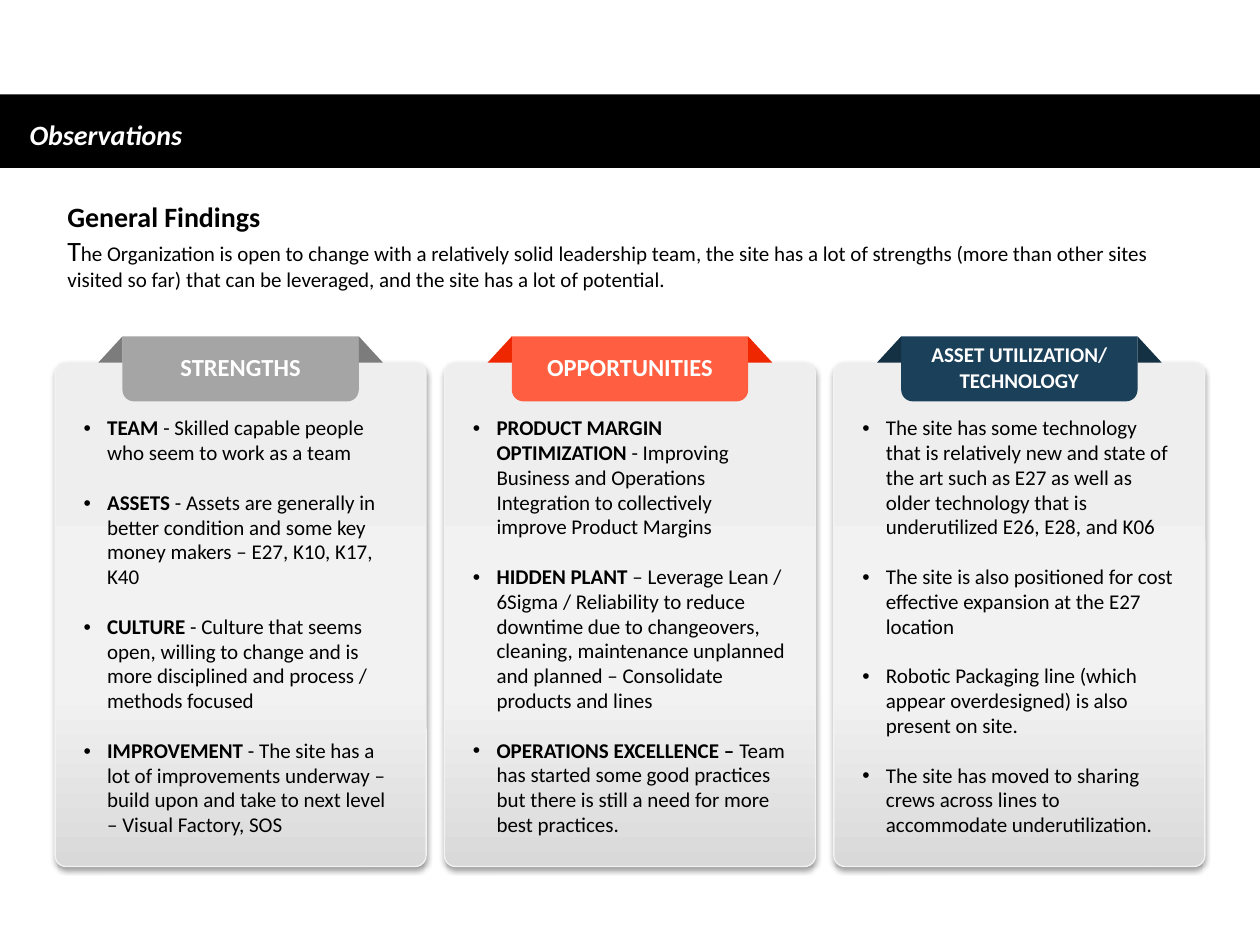
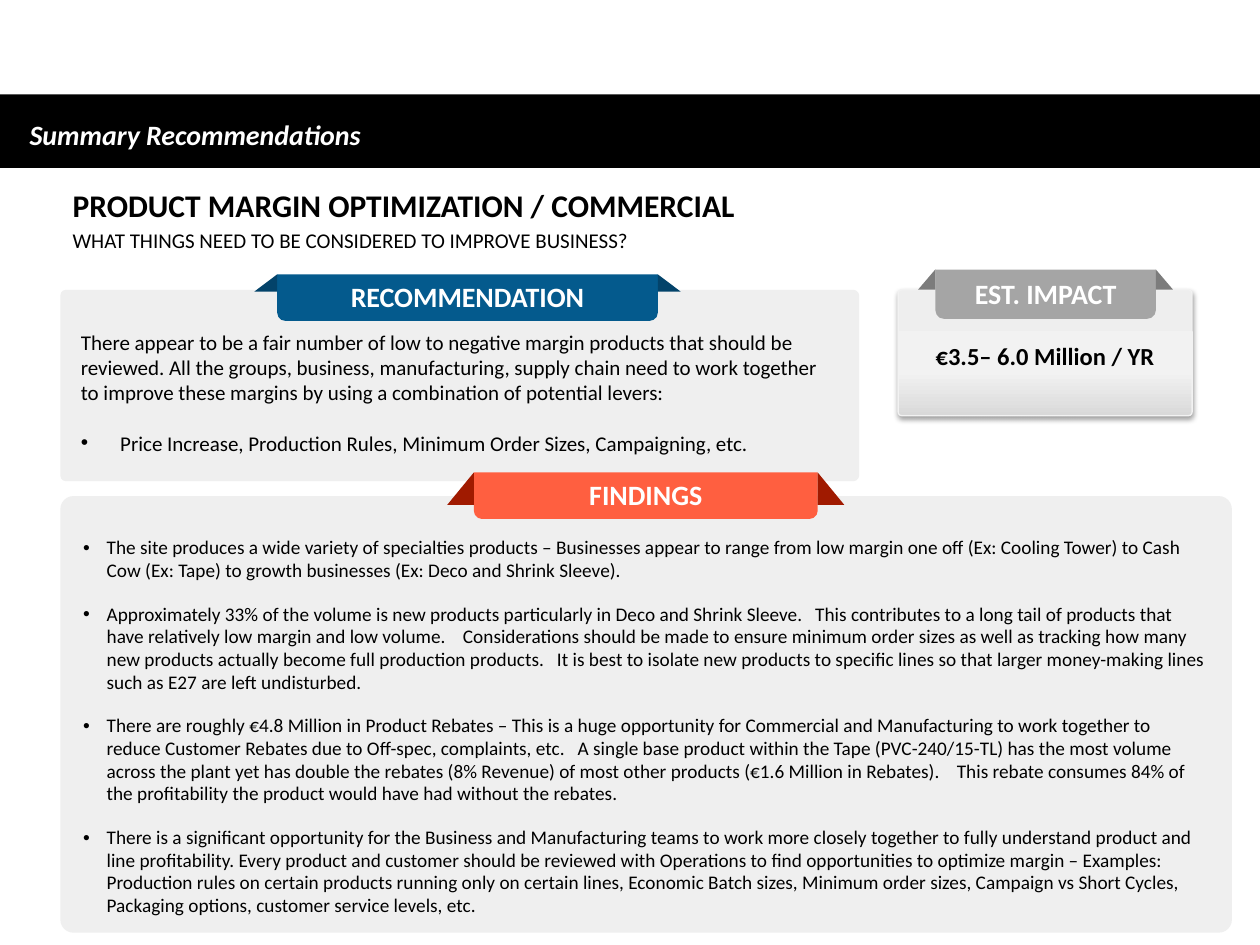
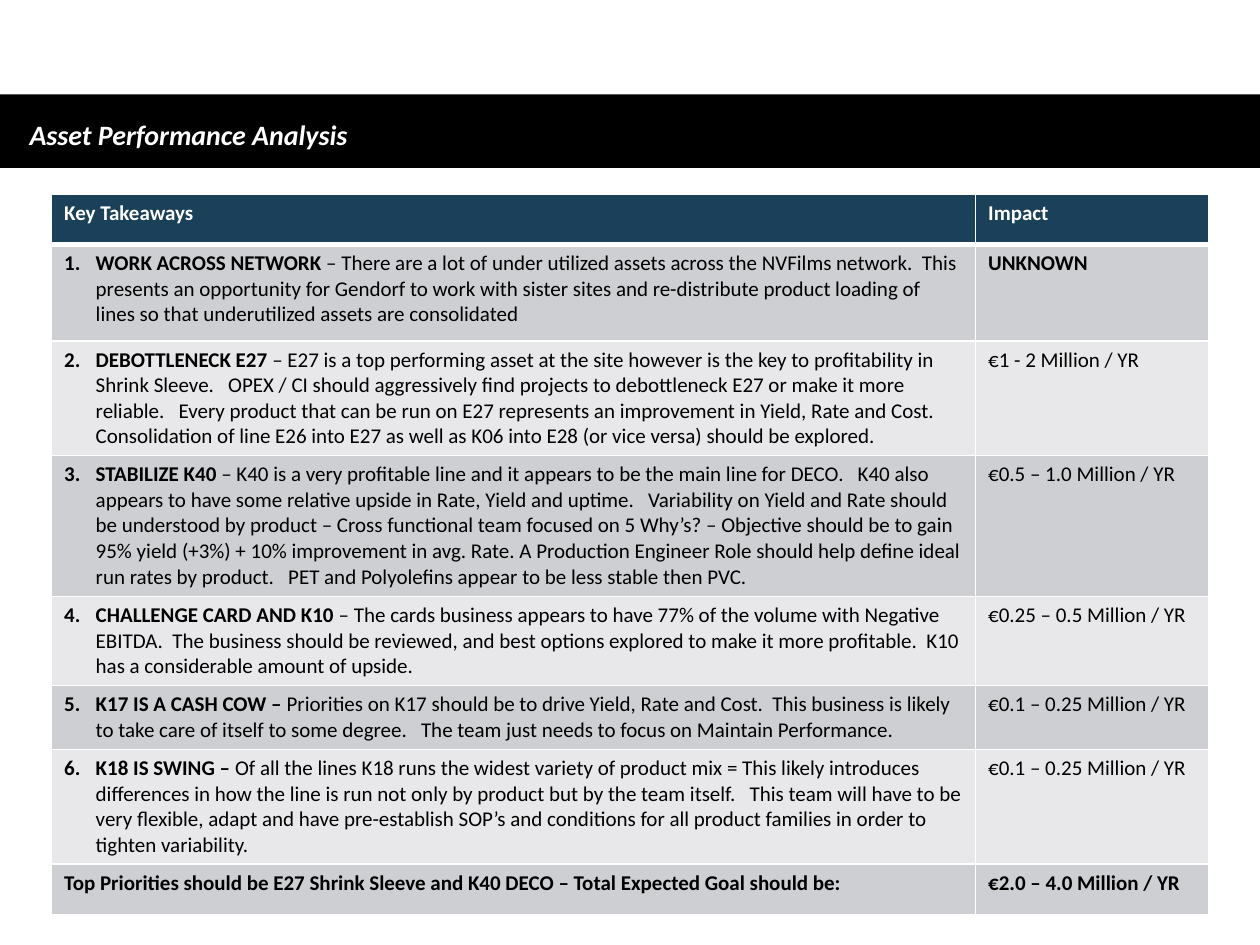
import pptx
import pptx.dml.color
import pptx.enum.shapes
import pptx.enum.text
import pptx.oxml
import pptx.oxml.ns
import pptx.util

Pt = pptx.util.Pt
SHAPE = pptx.enum.shapes.MSO_SHAPE
ALIGN = pptx.enum.text.PP_ALIGN
ANCHOR = pptx.enum.text.MSO_ANCHOR
NS = pptx.oxml.ns.nsdecls("a")

FONT = "Calibri"
COLORS = {
    "black": "000000", "white": "FFFFFF",
    "gray": "A5A5A5", "gray_ear": "7C7C7C",
    "orange": "FF5F40", "orange_ear": "EF2700", "rust_ear": "A01A00",
    "navy": "1B405A", "navy_ear": "143043",
    "blue": "045A8D", "blue_ear": "03436A",
    "panel": "EFEFEF", "panel_line": "F2F2F2",
    "row_dark": "CDCFD2", "row_light": "E8E8EA",
}
PANEL_STOPS = [(0, "D9D9D9"), (35, "F2F2F2"), (100, "EEEEEE")]
RAISED_INSETS = (14.4, 28.8, 14.4, 3.6)
FLAT_INSETS = (10.8, 21.6, 10.8, 7.2)
BULLET_HANG = 13.5

# Slide 1: three columns of (heading, heading size, colour, bullets)
STRENGTHS = [
    ("TEAM", " - Skilled capable people who seem to work as a team"),
    ("ASSETS", " - Assets are generally in better condition and some key money makers – E27, K10, K17, K40"),
    ("CULTURE", " - Culture that seems open, willing to change and is more disciplined and process / "
     "methods focused"),
    ("IMPROVEMENT", " - The site has a lot of improvements underway – build upon and take to next level "
     "– Visual Factory, SOS"),
]
OPPORTUNITIES = [
    ("PRODUCT MARGIN OPTIMIZATION ", "- Improving Business and Operations Integration to collectively "
     "improve Product Margins"),
    ("HIDDEN PLANT ", "– Leverage Lean / 6Sigma / Reliability to reduce downtime due to changeovers, "
     "cleaning, maintenance unplanned and planned – Consolidate products and lines"),
    ("OPERATIONS EXCELLENCE –", " Team has started some good practices but there is still a need for "
     "more best practices."),
]
TECHNOLOGY = [
    ("", "The site has some technology that is relatively new and state of the art such as E27 as well "
     "as older technology that is underutilized E26, E28, and K06"),
    ("", "The site is also positioned for cost effective expansion at the E27 location"),
    ("", "Robotic Packaging line (which appear overdesigned) is also present on site."),
    ("", "The site has moved to sharing crews across lines to accommodate underutilization."),
]
COLUMNS = [
    ("STRENGTHS", 14, "gray", STRENGTHS),
    ("OPPORTUNITIES", 14, "orange", OPPORTUNITIES),
    ("ASSET UTILIZATION/ TECHNOLOGY", 12, "navy", TECHNOLOGY),
]

# Slide 2: findings
FINDINGS = [
    "The site produces a wide variety of specialties products – Businesses appear to range from low margin "
    "one off (Ex: Cooling Tower) to Cash Cow (Ex: Tape) to growth businesses (Ex: Deco and Shrink Sleeve).",
    "Approximately 33% of the volume is new products particularly in Deco and Shrink Sleeve.   This "
    "contributes to a long tail of products that have relatively low margin and low volume.    "
    "Considerations should be made to ensure minimum order sizes as well as tracking how many new products "
    "actually become full production products.   It is best to isolate new products to specific lines so "
    "that larger money-making lines such as E27 are left undisturbed.",
    "There are roughly €4.8 Million in Product Rebates – This is a huge opportunity for Commercial and "
    "Manufacturing to work together to reduce Customer Rebates due to Off-spec, complaints, etc.   A single "
    "base product within the Tape (PVC-240/15-TL) has the most volume across the plant yet has double the "
    "rebates (8% Revenue) of most other products (€1.6 Million in Rebates).    This rebate consumes 84% of "
    "the profitability the product would have had without the rebates.",
    "There is a significant opportunity for the Business and Manufacturing teams to work more closely "
    "together to fully understand product and line profitability. Every product and customer should be "
    "reviewed with Operations to find opportunities to optimize margin – Examples: Production rules on "
    "certain products running only on certain lines, Economic Batch sizes, Minimum order sizes, Campaign vs "
    "Short Cycles, Packaging options, customer service levels, etc.",
]

# Slide 3: (bold lead, text, impact)
TAKEAWAYS = [
    ("WORK ACROSS NETWORK", " – There are a lot of under utilized assets across the NVFilms network.  This "
     "presents an opportunity for Gendorf to work with sister sites and re-distribute product loading of "
     "lines so that underutilized assets are consolidated", "UNKNOWN"),
    ("DEBOTTLENECK E27 ", "– E27 is a top performing asset at the site however is the key to profitability "
     "in Shrink Sleeve.   OPEX / CI should aggressively find projects to debottleneck E27 or make it more "
     "reliable.   Every product that can be run on E27 represents an improvement in Yield, Rate and Cost.  "
     "Consolidation of line E26 into E27 as well as K06 into E28 (or vice versa) should be explored.",
     "€1 - 2 Million / YR"),
    ("STABILIZE K40", " – K40 is a very profitable line and it appears to be the main line for DECO.   K40 "
     "also  appears to have some relative upside in Rate, Yield and uptime.   Variability on Yield and Rate "
     "should be understood by product – Cross functional team focused on 5 Why’s? – Objective should be to "
     "gain 95% yield (+3%) + 10% improvement in avg. Rate. A Production Engineer Role should help define "
     "ideal run rates by product.   PET and Polyolefins appear to be less stable then PVC.",
     "€0.5 – 1.0 Million / YR"),
    ("CHALLENGE CARD AND K10", " – The cards business appears to have 77% of the volume with Negative "
     "EBITDA.  The business should be reviewed, and best options explored to make it more profitable.  K10 "
     "has a considerable amount of upside.", "€0.25 – 0.5 Million / YR"),
    ("K17 IS A CASH COW – ", "Priorities on K17 should be to drive Yield, Rate and Cost.  This business is "
     "likely to take care of itself to some degree.   The team just needs to focus on Maintain "
     "Performance.", "€0.1 – 0.25 Million / YR"),
    ("K18 IS SWING – ", "Of all the lines K18 runs the widest variety of product mix = This likely "
     "introduces differences in how the line is run not only by product but by the team itself.   This team "
     "will have to be very flexible, adapt and have pre-establish SOP’s and conditions for all product "
     "families in order to tighten variability.", "€0.1 – 0.25 Million / YR"),
]
ROW_HEIGHTS = [28.8, 55.2, 65.5, 80.5, 51, 36.5, 65.5, 28.8]


def rgb(name):
    return pptx.dml.color.RGBColor.from_string(COLORS[name])


def para(*runs, hang=0, mark=None, **fmt):
    """A paragraph: (text, font overrides) runs; mark is a bullet or a list number."""
    return {"runs": runs, "hang": hang, "mark": mark, "fmt": fmt}


def lead(bold, text, **options):
    runs = [(bold, {"bold": True}), (text, {})]
    return para(*[run for run in runs if run[0]], **options)


def add_mark(p, hang, mark):
    pPr = p._p.get_or_add_pPr()
    pPr.set("marL", str(Pt(hang)))
    pPr.set("indent", str(-Pt(hang)))
    if isinstance(mark, int):
        tags = [f'<a:buFont {NS} typeface="+mj-lt"/>',
                f'<a:buAutoNum {NS} type="arabicPeriod" startAt="{mark}"/>']
    else:
        tags = [f'<a:buFont {NS} typeface="Arial"/>', f'<a:buChar {NS} char="{mark}"/>']
    for tag in tags:
        pPr.append(pptx.oxml.parse_xml(tag))


def write(tf, paras, size, color="black", insets=None, anchor=ANCHOR.TOP, **font):
    tf.word_wrap = True
    tf.vertical_anchor = anchor
    if insets:
        for side, inset in zip(("left", "top", "right", "bottom"), insets):
            setattr(tf, f"margin_{side}", Pt(inset))
    for i, item in enumerate(paras):
        p = tf.add_paragraph() if i else tf.paragraphs[0]
        if item["mark"]:
            add_mark(p, item["hang"], item["mark"])
        for name, value in ({"alignment": ALIGN.LEFT} | item["fmt"]).items():
            if name != "space_before" or i:
                setattr(p, name, value)
        for text, changes in item["runs"]:
            r = p.add_run()
            r.text = text
            for name, value in ({"name": FONT, "size": Pt(size)} | font | changes).items():
                setattr(r.font, name, value)
            r.font.color.rgb = rgb(color)


def add_shape(s, kind, x, y, w, h, fill=None, adjustments=()):
    sp = s.shapes.add_shape(kind, Pt(x), Pt(y), Pt(w), Pt(h))
    sp.shadow.inherit = False
    sp.line.fill.background()
    if fill:
        sp.fill.solid()
        sp.fill.fore_color.rgb = rgb(fill)
    for i, value in enumerate(adjustments):
        sp.adjustments[i] = value
    return sp


def add_text(s, x, y, w, h, paras, size, **options):
    sp = s.shapes.add_textbox(Pt(x), Pt(y), Pt(w), Pt(h))
    write(sp.text_frame, paras, size, **options)


def add_flat_panel(s, x, y, w, h):
    return add_shape(s, SHAPE.ROUNDED_RECTANGLE, x, y, w, h, "panel", [0.03])


def add_raised_panel(s, x, y, w, h):
    """Panel with a gradient, a light outline and a soft shadow."""
    sp = add_shape(s, SHAPE.ROUNDED_RECTANGLE, x, y, w, h, adjustments=[0.03])
    sp.line.color.rgb = rgb("panel_line")
    sp.line.width = Pt(0.75)
    sp.fill.gradient()
    sp.fill.gradient_angle = 90
    spPr = sp._element.spPr
    stops = spPr.find(".//" + pptx.oxml.ns.qn("a:gsLst"))
    for stop in list(stops):
        stops.remove(stop)
    for pos, color in PANEL_STOPS:
        stops.append(pptx.oxml.parse_xml(
            f'<a:gs {NS} pos="{pos * 1000}"><a:srgbClr val="{color}"/></a:gs>'))
    spPr.find(pptx.oxml.ns.qn("a:effectLst")).append(pptx.oxml.parse_xml(
        f'<a:outerShdw {NS} blurRad="{Pt(3.1)}" dist="{Pt(1.6)}" dir="5400000" rotWithShape="0">'
        f'<a:srgbClr val="{COLORS["black"]}"><a:alpha val="38000"/></a:srgbClr></a:outerShdw>'))
    return sp


def add_ribbon(s, x, y, w, h, ear_w, ear_h, label, size, fill, ear_fill=None):
    """Heading tab with a folded ear on each side."""
    tab = add_shape(s, SHAPE.ROUND_2_SAME_RECTANGLE, x, y, w, h, fill, [0, 0.176])
    write(tab.text_frame, [para((label, {}), alignment=ALIGN.CENTER)], size, "white",
          anchor=ANCHOR.MIDDLE, bold=True)
    for ear_x, flip in ((x - ear_w, "1"), (x + w, "0")):
        ear = add_shape(s, SHAPE.RIGHT_TRIANGLE, ear_x, y, ear_w, ear_h, ear_fill or fill + "_ear")
        ear._element.spPr.get_or_add_xfrm().set("flipH", flip)


def add_slide(prs, title):
    s = prs.slides.add_slide(prs.slide_layouts[6])
    add_shape(s, SHAPE.RECTANGLE, 0, 54, 720, 42, "black")
    add_text(s, 9.8, 63.4, 660, 26.6, [para((title, {}))], 16, color="white", bold=True, italic=True)
    return s


def style_cell(cell, item, fill, color="black", top=1, bottom=1, **font):
    write(cell.text_frame, [item], 12, color, **font)
    cell.fill.solid()
    cell.fill.fore_color.rgb = rgb(fill)
    tcPr = cell._tc.get_or_add_tcPr()
    for i, (side, width) in enumerate((("L", 1), ("R", 1), ("T", top), ("B", bottom))):
        tcPr.insert(i, pptx.oxml.parse_xml(
            f'<a:ln{side} {NS} w="{Pt(width)}"><a:solidFill><a:srgbClr val="{COLORS["white"]}"/>'
            f'</a:solidFill></a:ln{side}>'))


def build_observations(prs):
    s = add_slide(prs, "Observations")
    add_text(s, 31.4, 110.6, 644, 60.5, [
        para(("General Findings", {"bold": True})),
        para(("T", {}), ("he Organization is open to change with a relatively solid leadership team, the "
                         "site has a lot of strengths (more than other sites visited so far) that can be "
                         "leveraged, and the site has a lot of potential.", {"size": Pt(12)})),
    ], 16)
    for i, (heading, size, color, bullets) in enumerate(COLUMNS):
        x = 31.5 + 222.5 * i
        panel = add_raised_panel(s, x, 207.2, 212, 288)
        write(panel.text_frame, [
            lead(*bullet, hang=BULLET_HANG, mark="•", space_before=Pt(14.4), line_spacing=0.98)
            for bullet in bullets], 12, insets=RAISED_INSETS)
        add_ribbon(s, x + 38.5, 192.2, 135, 37.2, 13.8, 15, heading, size, color)


def build_recommendations(prs):
    s = add_slide(prs, "Summary Recommendations")
    add_text(s, 34.4, 103, 515.5, 28.8, [para(("PRODUCT MARGIN OPTIMIZATION / COMMERCIAL", {}))], 18, bold=True)
    add_text(s, 34.4, 126.7, 540, 21.6,
             [para(("WHAT THINGS NEED TO BE CONSIDERED TO IMPROVE BUSINESS?", {}))], 12)

    # Recommendation
    panel = add_flat_panel(s, 34.5, 165.6, 456.5, 109.4)
    write(panel.text_frame, [
        para(("There appear to be a fair number of low to negative margin products that should be reviewed. "
              "All the groups, business, manufacturing, supply chain need to work together to improve these "
              "margins by using a combination of potential levers:", {})),
        para(("Price Increase, Production Rules, Minimum Order Sizes, Campaigning, etc.", {}),
             hang=22.5, mark="•", space_before=Pt(14.4)),
    ], 12, insets=FLAT_INSETS)
    add_ribbon(s, 158.4, 156.8, 217.5, 26.6, 13, 9.8, "RECOMMENDATION", 16, "blue")

    # Estimated impact
    panel = add_raised_panel(s, 513.2, 165.6, 168, 72)
    write(panel.text_frame, [para(("€3.5– 6.0 Million / YR", {}), alignment=ALIGN.CENTER)], 14,
          insets=RAISED_INSETS, bold=True)
    add_ribbon(s, 534.5, 154, 126, 28.2, 9.8, 11.5, "EST. IMPACT", 16, "gray")

    # Findings
    panel = add_flat_panel(s, 34.5, 283.5, 669.5, 249.5)
    write(panel.text_frame, [
        para((text, {}), hang=BULLET_HANG, mark="•", space_before=Pt(12), line_spacing=0.98)
        for text in FINDINGS], 11, insets=FLAT_INSETS, anchor=ANCHOR.MIDDLE)
    add_ribbon(s, 270.8, 270, 196.5, 26.6, 15.2, 18.5, "FINDINGS", 16, "orange", "rust_ear")


def build_asset_performance(prs):
    s = add_slide(prs, "Asset Performance Analysis")
    frame = s.shapes.add_table(len(ROW_HEIGHTS), 2, Pt(29.5), Pt(110.8), Pt(661.5), Pt(sum(ROW_HEIGHTS)))
    table = frame.table
    for column, width in zip(table.columns, (528, 133.5)):
        column.width = Pt(width)
    for row, height in zip(table.rows, ROW_HEIGHTS):
        row.height = Pt(height)

    # Header row
    for c, text in enumerate(("Key Takeaways", "Impact")):
        style_cell(table.cell(0, c), para((text, {})), "navy", "white", bottom=3, bold=True)
    # Numbered takeaways, then the total
    rows = [(lead(bold, text, hang=18, mark=n), para((impact, {"bold": n == 1})))
            for n, (bold, text, impact) in enumerate(TAKEAWAYS, 1)]
    rows.append((
        lead("Top Priorities should be E27 Shrink Sleeve and K40 DECO – Total Expected Goal should be:", ""),
        lead("€2.0 – 4.0 Million / YR", "")))
    for n, row in enumerate(rows, 1):
        for c, item in enumerate(row):
            style_cell(table.cell(n, c), item, "row_dark" if n % 2 else "row_light", top=3 if n == 1 else 1)


def main():
    prs = pptx.Presentation()
    prs.slide_width, prs.slide_height = Pt(720), Pt(540)
    build_observations(prs)
    build_recommendations(prs)
    build_asset_performance(prs)
    prs.save("out.pptx")


if __name__ == "__main__":
    main()
